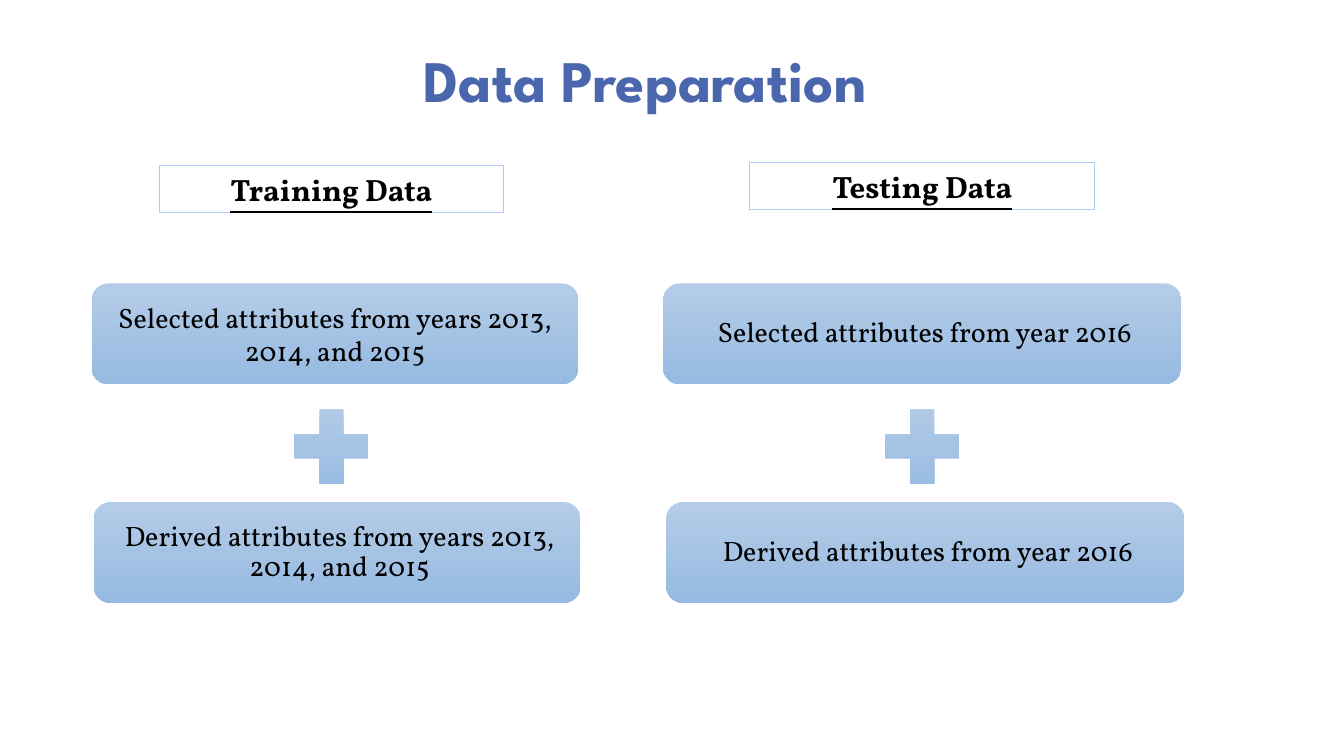
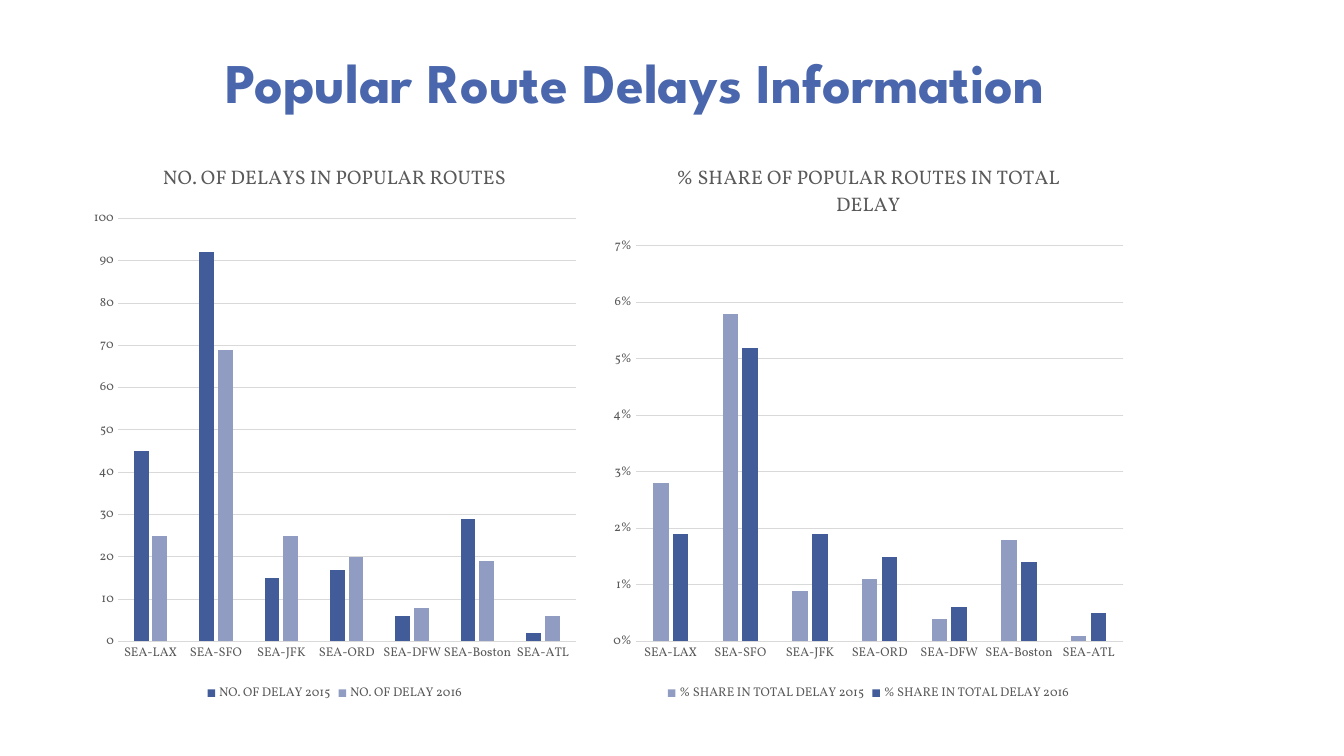
from lxml import etree
from pptx import Presentation
from pptx.chart.data import CategoryChartData
from pptx.dml.color import RGBColor
from pptx.enum.chart import XL_CHART_TYPE, XL_LEGEND_POSITION, XL_TICK_MARK
from pptx.enum.shapes import MSO_SHAPE
from pptx.enum.text import MSO_ANCHOR, MSO_AUTO_SIZE, PP_ALIGN
from pptx.oxml.ns import qn
from pptx.util import Cm, Pt

ROUNDED, PLUS, RECTANGLE = (MSO_SHAPE.ROUNDED_RECTANGLE, MSO_SHAPE.MATH_PLUS,
                            MSO_SHAPE.RECTANGLE)
CENTER = PP_ALIGN.CENTER
MIDDLE, BOTTOM = MSO_ANCHOR.MIDDLE, MSO_ANCHOR.BOTTOM
NO_FIT = MSO_AUTO_SIZE.NONE
COLUMNS = XL_CHART_TYPE.COLUMN_CLUSTERED
LEGEND_BOTTOM = XL_LEGEND_POSITION.BOTTOM
NO_TICK = XL_TICK_MARK.NONE

TITLE_BLUE = RGBColor(0x4A, 0x66, 0xAC)
BOX_TOP = RGBColor(0xB4, 0xCC, 0xE7)
BOX_BOTTOM = RGBColor(0x96, 0xBA, 0xE1)
HEADING_LINE = RGBColor(0xAC, 0xCB, 0xF9)
DARK_BAR = RGBColor(0x42, 0x5B, 0x99)
LIGHT_BAR = RGBColor(0x91, 0x9C, 0xC3)
CHART_TEXT = RGBColor(0x59, 0x59, 0x59)
GRID = RGBColor(0xD9, 0xD9, 0xD9)
BLACK = RGBColor(0, 0, 0)

TITLE_FONT, TEXT_FONT = "League Spartan", "Vollkorn"
TITLE_ONLY, TWO_CONTENT = 5, 3


def set_values(target, values):
    for name, value in values.items():
        setattr(target, name, value)


def set_font(font, size, color, name=TEXT_FONT, bold=False, **values):
    set_values(font, {"size": Pt(size), "name": name, "bold": bold, **values})
    font.color.rgb = color


def set_place(shape, place):
    for name, value in zip(("left", "top", "width", "height"), place):
        setattr(shape, name, Cm(value))


class DeckBuilder:
    """Holds the deck, its style and the current page."""

    def __init__(self):
        self.deck = Presentation()
        self.deck.slide_width, self.deck.slide_height = Cm(33.87), Cm(19.05)
        self.page = None

    def add_page(self, layout, title, left, size):
        self.page = self.deck.slides.add_slide(self.deck.slide_layouts[layout])
        box = self.page.shapes.title
        set_place(box, (left, 0.03, 24.13, 2.97))
        self.put_text(box, title, dict(size=size, color=TITLE_BLUE,
                                       name=TITLE_FONT, bold=True),
                      anchor=BOTTOM, spacing=0.8)

    def put_text(self, shape, text, font, anchor=MIDDLE, spacing=1.0):
        frame = shape.text_frame
        set_values(frame, {"word_wrap": True, "auto_size": NO_FIT,
                           "vertical_anchor": anchor})
        para = frame.paragraphs[0]
        set_values(para, {"alignment": CENTER, "line_spacing": spacing,
                          "space_before": Pt(0)})
        span = para.add_run()
        span.text = text
        set_font(span.font, **font)
        return para

    def shape(self, kind, place):
        shape = self.page.shapes.add_shape(kind, *map(Cm, place))
        shape.shadow.inherit = False
        return shape

    def shade(self, shape):
        shape.fill.gradient()
        shape.fill.gradient_angle = 270
        for stop, color in zip(shape.fill.gradient_stops, (BOX_TOP, BOX_BOTTOM)):
            stop.color.rgb = color
        shape.line.fill.background()

    def box(self, text, place, holder=None, spacing=0.9, indent=0.13):
        """Shaded rounded box, drawn in a body placeholder if one is given."""
        if holder is None:
            box = self.shape(ROUNDED, place)
        else:
            box = self.page.placeholders[holder]
            set_place(box, place)
            outline = etree.SubElement(box.element.spPr, qn("a:prstGeom"),
                                       prst="roundRect")
            etree.SubElement(outline, qn("a:avLst"))
        self.shade(box)
        para = self.put_text(box, text, dict(size=20, color=BLACK),
                             spacing=spacing)
        # Left indent without a bullet
        format_xml = para._p.get_or_add_pPr()
        format_xml.set("marL", str(int(Cm(indent))))
        format_xml.set("indent", "0")
        etree.SubElement(format_xml, qn("a:buNone"))

    def heading(self, text, left, top):
        box = self.shape(RECTANGLE, (left, top, 8.69, 1.19))
        box.fill.background()
        box.line.color.rgb = HEADING_LINE
        box.line.width = Pt(0.75)
        self.put_text(box, text, dict(size=22, color=BLACK, bold=True,
                                      underline=True))

    def plus(self, center):
        self.shade(self.shape(PLUS, (center - 1.27, 9.98, 2.54, 2.54)))

    def chart(self, title, left, width, categories, series, top_value, step,
              number_format):
        data = CategoryChartData(number_format=number_format)
        data.categories = categories
        for name, values, _ in series:
            data.add_series(name, values)
        chart = self.page.shapes.add_chart(
            COLUMNS, Cm(left), Cm(3.61), Cm(width), Cm(14.17), data).chart
        set_font(chart.font, 10, BLACK)

        # Title and legend
        chart.has_title = chart.has_legend = True
        chart.chart_title.include_in_layout = False
        span = chart.chart_title.text_frame.paragraphs[0].add_run()
        span.text = title
        set_font(span.font, 14, CHART_TEXT)
        set_values(chart.legend, {"position": LEGEND_BOTTOM,
                                  "include_in_layout": False})
        set_font(chart.legend.font, 9, CHART_TEXT)

        # Axes
        for axis in (chart.category_axis, chart.value_axis):
            set_values(axis, {"major_tick_mark": NO_TICK,
                              "minor_tick_mark": NO_TICK})
            set_font(axis.tick_labels.font, 9, CHART_TEXT)
        value_axis = chart.value_axis
        set_values(value_axis, {"minimum_scale": 0, "maximum_scale": top_value,
                                "major_unit": step})
        set_values(value_axis.tick_labels, {"number_format": number_format,
                                            "number_format_is_linked": False})
        value_axis.format.line.fill.background()
        for part in (chart.category_axis, value_axis.major_gridlines):
            part.format.line.color.rgb = GRID
            part.format.line.width = Pt(0.75)

        # Bars
        plot = chart.plots[0]
        set_values(plot, {"gap_width": 219, "overlap": -27,
                          "vary_by_categories": False})
        for bars, (_, _, color) in zip(plot.series, series):
            bars.format.fill.solid()
            bars.format.fill.fore_color.rgb = color


def data_preparation(builder):
    builder.add_page(TWO_CONTENT, "Data Preparation", 4.19, 42)
    builder.box("Selected attributes from years 2013, 2014, and 2015",
                (2.31, 7.14, 12.27, 2.54), spacing=1.0, indent=0)
    builder.box("Derived attributes from years 2013, 2014, and 2015",
                (2.36, 12.65, 12.27, 2.54), holder=1)
    builder.box("Selected attributes from year 2016",
                (16.71, 7.14, 13.06, 2.54), holder=2)
    builder.box("Derived attributes from year 2016",
                (16.79, 12.65, 13.06, 2.54))
    for text, left, top in (("Training Data", 4.01, 4.17),
                            ("Testing Data", 18.9, 4.09)):
        builder.heading(text, left, top)
        builder.plus(left + 8.69 / 2)


def route_delays(builder):
    builder.add_page(TITLE_ONLY, "Popular Route Delays Information", 3.94, 40)
    routes = ["SEA-" + city for city in
              ("LAX", "SFO", "JFK", "ORD", "DFW", "Boston", "ATL")]
    builder.chart(
        "NO. OF DELAYS IN POPULAR ROUTES", 2.11, 12.65, routes,
        (("NO. OF DELAY 2015", (45, 92, 15, 17, 6, 29, 2), DARK_BAR),
         ("NO. OF DELAY 2016", (25, 69, 25, 20, 8, 19, 6), LIGHT_BAR)),
        100, 10, "General")
    builder.chart(
        "% SHARE OF POPULAR ROUTES IN TOTAL DELAY", 15.19, 13.39, routes,
        (("% SHARE IN TOTAL DELAY 2015",
          (0.028, 0.058, 0.009, 0.011, 0.004, 0.018, 0.001), LIGHT_BAR),
         ("% SHARE IN TOTAL DELAY 2016",
          (0.019, 0.052, 0.019, 0.015, 0.006, 0.014, 0.005), DARK_BAR)),
        0.07, 0.01, "0%")


def main():
    builder = DeckBuilder()
    data_preparation(builder)
    route_delays(builder)
    builder.deck.save("out.pptx")


if __name__ == "__main__":
    main()
